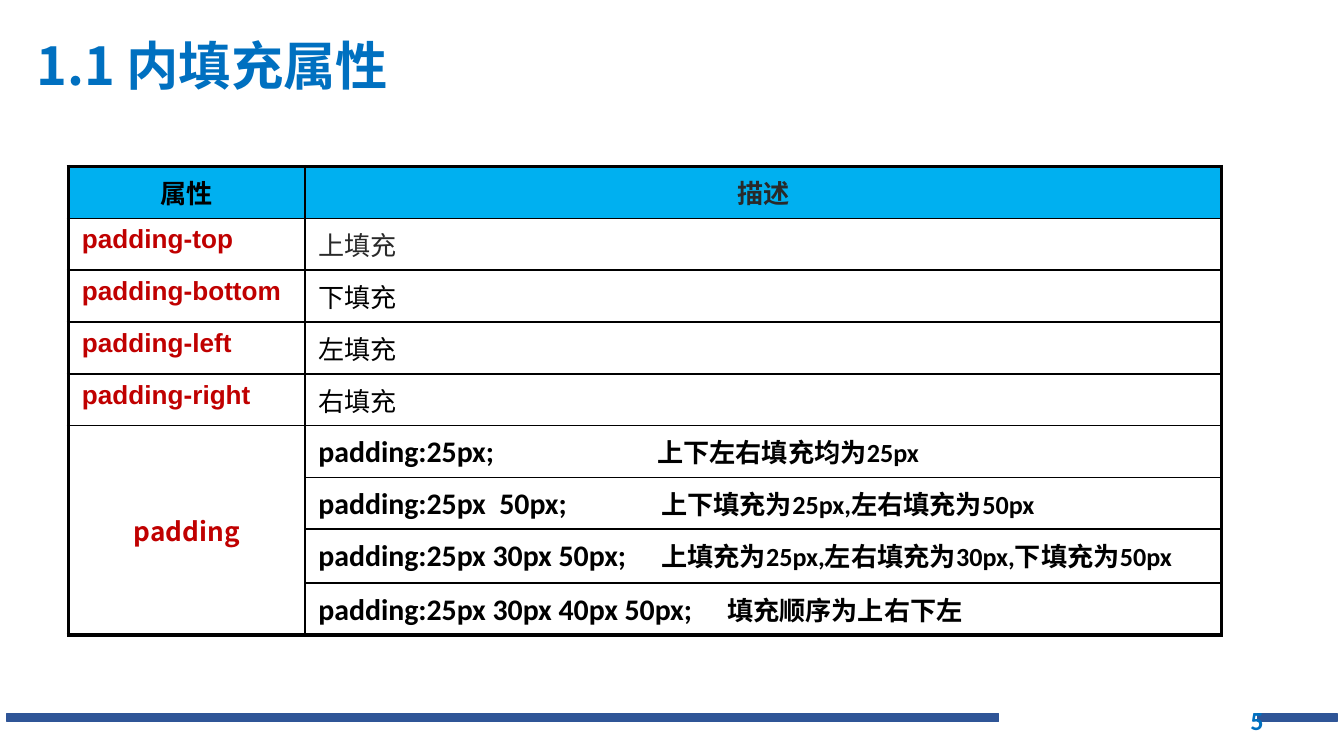
from dataclasses import dataclass

from lxml import etree
from pptx import Presentation
from pptx import util as u
from pptx.dml import color
from pptx.enum import shapes, text
from pptx.oxml import ns


@dataclass(frozen=True)
class Theme:
    accent: str = "0070C0"
    bar: str = "2F5597"
    header: str = "00B0F0"
    white: str = "FFFFFF"
    black: str = "000000"
    grey: str = "292929"
    red: str = "C00000"
    cjk: str = "Noto Sans CJK SC"
    latin: str = "Calibri"
    label: str = "Arial"
    title_size: int = 28
    code_size: int = 16
    body_size: int = 14
    outer_line: float = 2.25
    inner_line: float = 1


THEME = Theme()
CENTER = text.PP_ALIGN.CENTER
LEFT = text.PP_ALIGN.LEFT

SIDES = [
    ("padding-top", "上填充", THEME.grey),
    ("padding-bottom", "下填充", THEME.black),
    ("padding-left", "左填充", THEME.black),
    ("padding-right", "右填充", THEME.black),
]
SHORTHANDS = [
    ("padding:25px;", "上下左右填充均为25px", 2.52),
    ("padding:25px  50px;", "上下填充为25px,左右填充为50px", 2.55),
    ("padding:25px 30px 50px;", "上填充为25px,左右填充为30px,下填充为50px", 2.55),
    ("padding:25px 30px 40px 50px;", "填充顺序为上右下左", 3.04),
]


def rgb(value):
    return color.RGBColor.from_string(value)


def format_run(run, size, font, fill, bold=True):
    run.font.size = u.Pt(size)
    run.font.name = font
    run.font.bold = bold
    run.font.color.rgb = rgb(fill)
    east_asian = etree.SubElement(run.font._element, ns.qn("a:ea"))
    east_asian.set("typeface", THEME.cjk)


def add_title(slide, box, wording):
    title = slide.shapes.title
    title.left, title.top, title.width, title.height = map(u.Inches, box)
    title.text_frame.text = wording
    title.text_frame.vertical_anchor = text.MSO_ANCHOR.MIDDLE
    paragraph = title.text_frame.paragraphs[0]
    paragraph.alignment = LEFT
    format_run(paragraph.runs[0], THEME.title_size, THEME.cjk, THEME.accent)


def add_footer(slide, box, number):
    left, top, width, height = box
    for offset, length in ((0, 7.38), (width - 0.59, 0.59)):
        bar = slide.shapes.add_shape(
            shapes.MSO_SHAPE.RECTANGLE, u.Inches(left + offset),
            u.Inches(top), u.Inches(length), u.Inches(height))
        bar.shadow.inherit = False
        bar.fill.solid()
        bar.fill.fore_color.rgb = rgb(THEME.bar)
        bar.line.color.rgb = rgb(THEME.bar)
        bar.line.width = u.Pt(1)
    page = slide.shapes.add_textbox(
        u.Inches(left + 7.12), u.Inches(top - 0.1), u.Inches(2.33), u.Inches(0.3))
    page.text_frame.word_wrap = True
    page.text_frame.vertical_anchor = text.MSO_ANCHOR.MIDDLE
    page.text_frame.text = number
    paragraph = page.text_frame.paragraphs[0]
    paragraph.alignment = text.PP_ALIGN.RIGHT
    format_run(paragraph.runs[0], THEME.body_size, THEME.latin, THEME.accent)


def set_borders(cell, outer_sides):
    properties = cell._tc.get_or_add_tcPr()
    for index, side in enumerate(("lnL", "lnR", "lnT", "lnB")):
        width = THEME.outer_line if side in outer_sides else THEME.inner_line
        line = etree.Element(ns.qn("a:" + side), w=str(u.Pt(width)))
        fill = etree.SubElement(line, ns.qn("a:solidFill"))
        etree.SubElement(fill, ns.qn("a:srgbClr"), val=THEME.black)
        properties.insert(index, line)


def write_cell(cell, parts, alignment=LEFT):
    paragraph = cell.text_frame.paragraphs[0]
    paragraph.alignment = alignment
    properties = paragraph._p.get_or_add_pPr()
    spacing = etree.SubElement(properties, ns.qn("a:spcBef"))
    etree.SubElement(spacing, ns.qn("a:spcPct"), val="20000")
    for wording, *style in parts:
        run = paragraph.add_run()
        run.text = wording
        format_run(run, *style)
    return properties


def add_tab_stop(properties, position):
    stops = etree.SubElement(properties, ns.qn("a:tabLst"))
    etree.SubElement(stops, ns.qn("a:tab"), pos=str(u.Inches(position)), algn="l")


def style_grid(table):
    last_row, last_column = len(table.rows) - 1, len(table.columns) - 1
    for row in range(last_row + 1):
        for column in range(last_column + 1):
            cell = table.cell(row, column)
            if not row:
                cell.fill.solid()
                cell.fill.fore_color.rgb = rgb(THEME.header)
            else:
                cell.fill.background()
            bottom = row + cell.span_height - 1 if cell.is_merge_origin else row
            edges = {"lnL": column == 0, "lnR": column == last_column,
                     "lnT": row == 0, "lnB": bottom == last_row}
            set_borders(cell, [side for side, outer in edges.items() if outer])


def add_property_table(slide, box):
    row_count = 1 + len(SIDES) + len(SHORTHANDS)
    table = slide.shapes.add_table(row_count, 2, *map(u.Inches, box)).table
    table.horz_banding = False
    name_width = 1.76
    table.columns[0].width = u.Inches(name_width)
    table.columns[1].width = u.Inches(box[2] - name_width)
    for row in table.rows:
        row.height = u.Inches(box[3] / row_count)
    table.rows[row_count - 2].height = u.Inches(0.4)
    first = 1 + len(SIDES)
    shorthand = table.cell(first, 0)
    shorthand.merge(table.cell(row_count - 1, 0))
    shorthand.vertical_anchor = text.MSO_ANCHOR.MIDDLE
    style_grid(table)

    size = THEME.body_size
    write_cell(table.cell(0, 0), [("属性", size, THEME.label, THEME.black)], CENTER)
    write_cell(table.cell(0, 1), [("描述", size, THEME.cjk, THEME.grey)], CENTER)
    for row, (name, meaning, fill) in enumerate(SIDES, 1):
        write_cell(table.cell(row, 0), [(name, size, THEME.label, THEME.red)])
        write_cell(table.cell(row, 1), [(meaning, size, THEME.cjk, fill, False)])
    write_cell(shorthand, [("padding", size, THEME.cjk, THEME.red)], CENTER)
    for row, (code, meaning, position) in enumerate(SHORTHANDS, first):
        properties = write_cell(table.cell(row, 1), [
            (code + "\t", THEME.code_size, THEME.latin, THEME.black),
            (meaning, size, THEME.latin, THEME.black)])
        add_tab_stop(properties, position)


def build():
    presentation = Presentation()
    presentation.slide_width = u.Inches(10)
    presentation.slide_height = u.Inches(10 * 9 / 16)
    slide = presentation.slides.add_slide(presentation.slide_layouts[5])
    add_footer(slide, (0.05, 5.31, 9.9, 0.06), "5")
    add_title(slide, (0.17, 0.01, 9, 0.94), "1.1 内填充属性")
    add_property_table(slide, (0.51, 1.24, 8.58, 3.47))
    presentation.save("out.pptx")


build()
